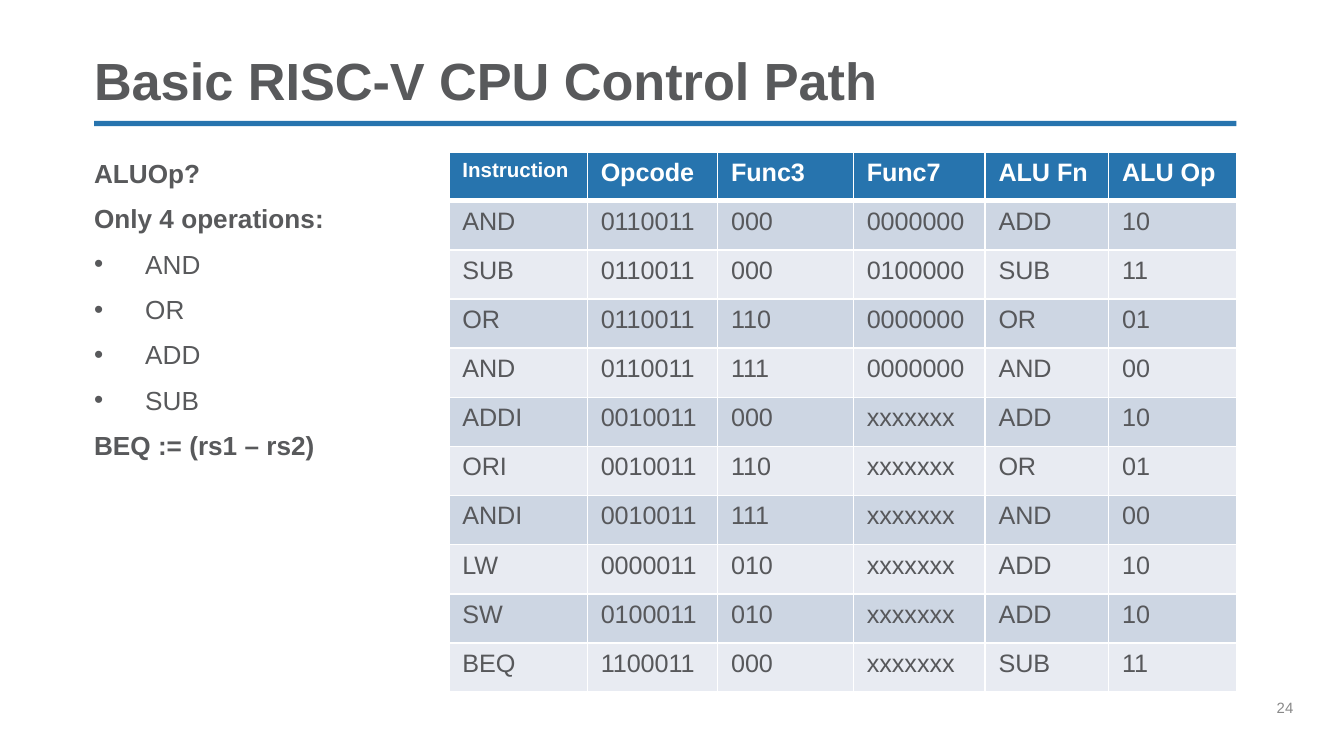
from typing import NamedTuple

from lxml import etree
from pptx import Presentation
from pptx.dml.color import RGBColor
from pptx.enum.shapes import MSO_SHAPE
from pptx.enum.text import MSO_ANCHOR
from pptx.oxml.ns import qn
from pptx.util import Inches, Pt

RECT = MSO_SHAPE.RECTANGLE
TOP, BOTTOM = MSO_ANCHOR.TOP, MSO_ANCHOR.BOTTOM
FONT = "Arial"
COLORS = {
    "blue": "2774AE",
    "text": "58595B",
    "cell_text": "57585B",
    "number": "898989",
    "white": "FFFFFF",
    "odd_row": "CDD6E3",
    "even_row": "E8EBF2",
}


class Line(NamedTuple):
    text: str
    size: float = 14
    color: str = "text"
    bold: bool = True
    bullet: bool = False


class Box(NamedTuple):
    left: float
    top: float
    width: float
    height: float
    lines: list[Line]
    anchor: MSO_ANCHOR = TOP
    spacing: float = 1.0


OPERATIONS = ["AND", "OR", "ADD", "SUB"]
BOXES = [
    Box(9.5, 5.2, 0.5, 0.4, [Line("24", 8, "number", False)]),
    Box(0.7, 0.41, 8.5, 0.42, [Line("Basic RISC-V CPU Control Path", 28)],
        BOTTOM, 0.9),
    Box(0.7, 1.17, 8.92, 2.64, [
        Line("ALUOp?"),
        Line("Only 4 operations:"),
        *[Line(name, bold=False, bullet=True) for name in OPERATIONS],
        Line("BEQ := (rs1 – rs2)"),
    ]),
]
COLUMN_WIDTHS = [1.03, 0.97, 1.01, 0.98, 0.92, 0.95]
HEADERS = ["Instruction", "Opcode", "Func3", "Func7", "ALU Fn", "ALU Op"]
INSTRUCTIONS = [
    ["AND", "0110011", "000", "0000000", "ADD", "10"],
    ["SUB", "0110011", "000", "0100000", "SUB", "11"],
    ["OR", "0110011", "110", "0000000", "OR", "01"],
    ["AND", "0110011", "111", "0000000", "AND", "00"],
    ["ADDI", "0010011", "000", "xxxxxxx", "ADD", "10"],
    ["ORI", "0010011", "110", "xxxxxxx", "OR", "01"],
    ["ANDI", "0010011", "111", "xxxxxxx", "AND", "00"],
    ["LW", "0000011", "010", "xxxxxxx", "ADD", "10"],
    ["SW", "0100011", "010", "xxxxxxx", "ADD", "10"],
    ["BEQ", "1100011", "000", "xxxxxxx", "SUB", "11"],
]


def rgb(name: str) -> RGBColor:
    return RGBColor.from_string(COLORS[name])


def write(p, line: Line) -> None:
    r = p.add_run()
    r.text = line.text
    formats = {"name": FONT, "size": Pt(line.size), "bold": line.bold}
    for attribute, value in formats.items():
        setattr(r.font, attribute, value)
    r.font.color.rgb = rgb(line.color)


def add_bullet(p) -> None:
    pPr = p._p.get_or_add_pPr()
    pPr.set("marL", str(Inches(0.38)))
    pPr.set("indent", str(Inches(-0.38)))
    etree.SubElement(pPr, qn("a:buFont"), typeface=FONT)
    etree.SubElement(pPr, qn("a:buChar"), char="•")


def draw_box(s, box: Box) -> None:
    sp = s.shapes.add_textbox(Inches(box.left), Inches(box.top),
                              Inches(box.width), Inches(box.height))
    tf = sp.text_frame
    formats = {"word_wrap": True, "vertical_anchor": box.anchor,
               "margin_left": 0, "margin_top": 0,
               "margin_right": 0, "margin_bottom": 0}
    for attribute, value in formats.items():
        setattr(tf, attribute, value)
    for i, line in enumerate(box.lines):
        p = tf.add_paragraph() if i else tf.paragraphs[0]
        p.line_spacing = box.spacing
        if i:
            p.space_before = Pt(7.5)
        if line.bullet:
            add_bullet(p)
        write(p, line)


def add_borders(cell, widths: dict[str, float]) -> None:
    """Draw white borders; they must come before the fill in the cell's XML."""
    tcPr = cell._tc.get_or_add_tcPr()
    for i, (side, width) in enumerate(widths.items()):
        ln = etree.Element(qn(f"a:{side}"), w=str(Pt(width)))
        fill = etree.SubElement(ln, qn("a:solidFill"))
        etree.SubElement(fill, qn("a:srgbClr"), val=COLORS["white"])
        tcPr.insert(i, ln)


def draw_table(s) -> None:
    rows = [HEADERS, *INSTRUCTIONS]
    table = s.shapes.add_table(len(rows), len(HEADERS), Inches(3.34), Inches(1.13),
                               Inches(5.86), Inches(4.02)).table
    for column, width in zip(table.columns, COLUMN_WIDTHS):
        column.width = Inches(width)
    for i, row in enumerate(rows):
        header = i == 0
        fill = "blue" if header else "odd_row" if i % 2 else "even_row"
        borders = {"lnL": 1, "lnR": 1, "lnT": 3 if i == 1 else 1,
                   "lnB": 3 if header else 1}
        for j, text in enumerate(row):
            cell = table.cell(i, j)
            cell.fill.solid()
            cell.fill.fore_color.rgb = rgb(fill)
            add_borders(cell, borders)
            size = 11 if header and j == 0 else 13.5
            color = "white" if header else "cell_text"
            write(cell.text_frame.paragraphs[0], Line(text, size, color, header))


def draw_title_rule(s) -> None:
    sp = s.shapes.add_shape(RECT, Inches(0.7), Inches(0.9), Inches(8.5), Inches(0.04))
    sp.shadow.inherit = False
    sp.fill.solid()
    sp.fill.fore_color.rgb = rgb("blue")
    sp.line.fill.background()


def main() -> None:
    prs = Presentation()
    prs.slide_width = Inches(10)
    prs.slide_height = Inches(10 * 9 / 16)
    s = prs.slides.add_slide(prs.slide_layouts[6])
    draw_title_rule(s)
    for box in BOXES:
        draw_box(s, box)
    draw_table(s)
    prs.save("out.pptx")


if __name__ == "__main__":
    main()
